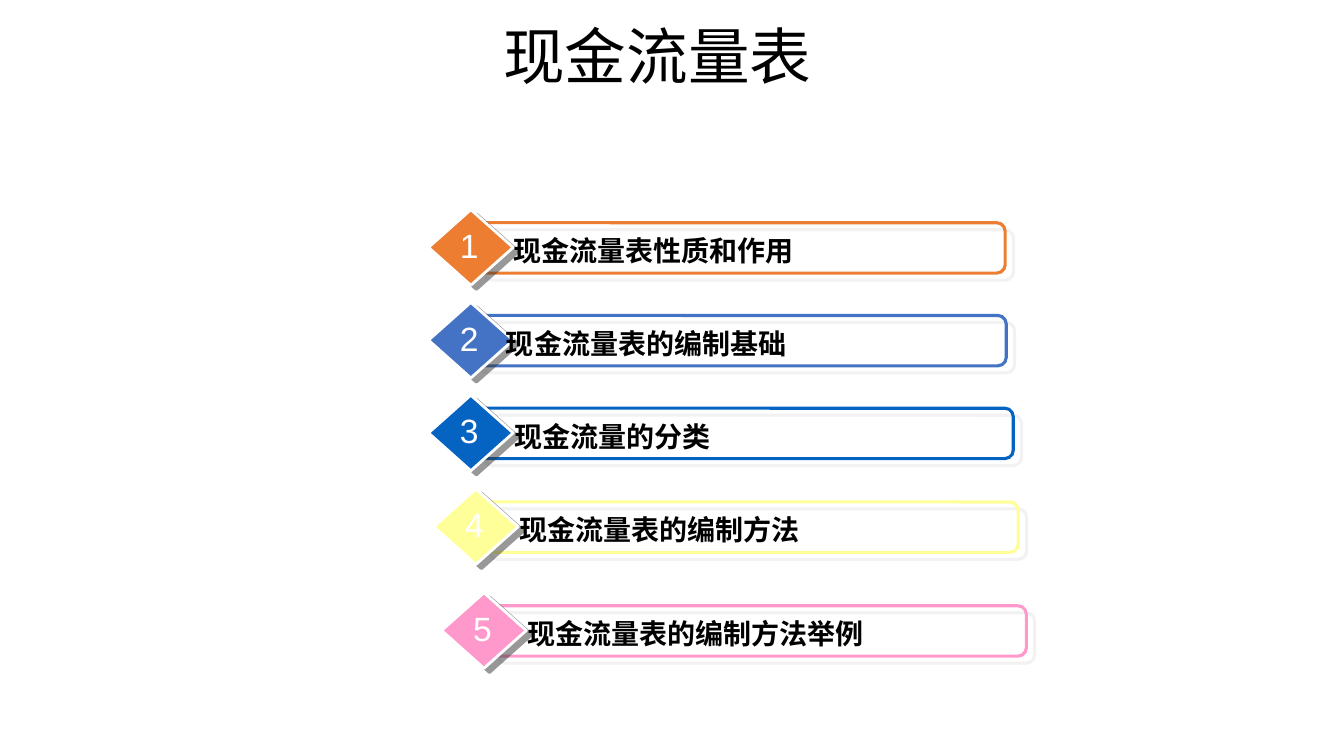
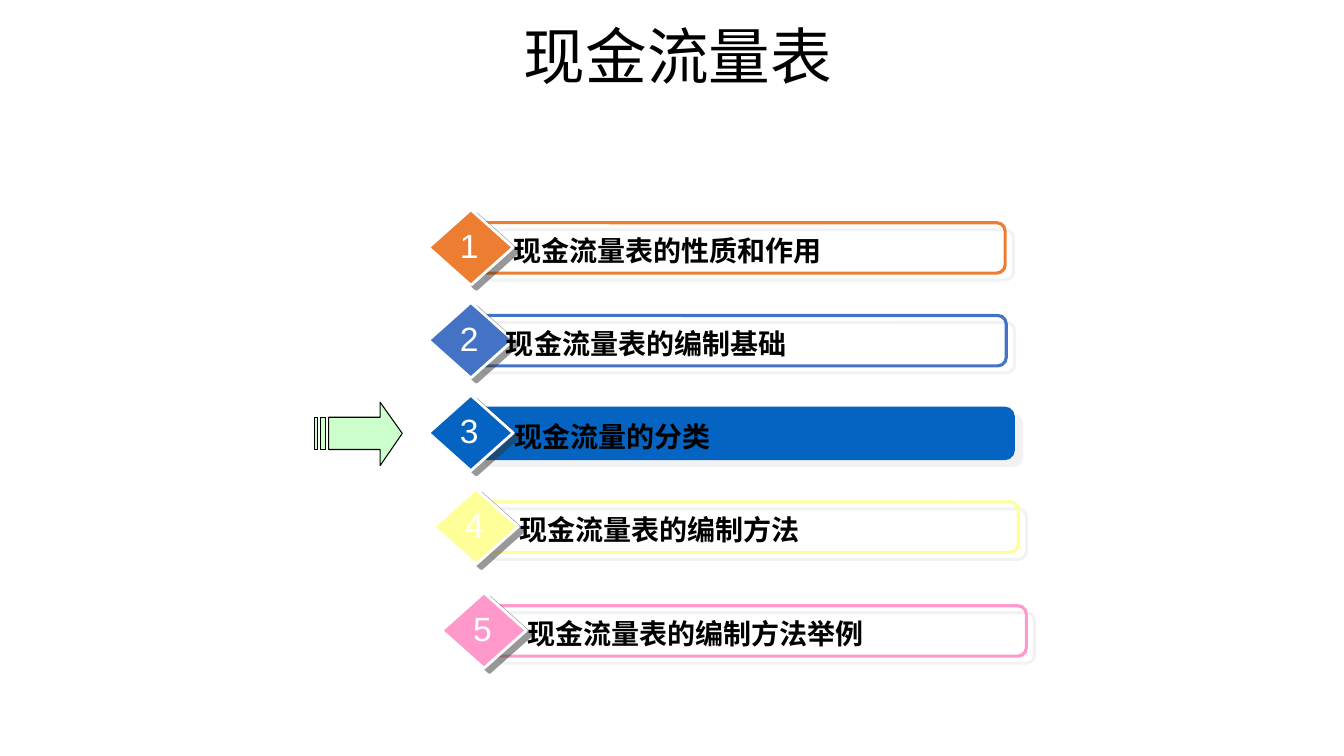
"""Build two agenda slides about the cash flow statement."""
import collections

import lxml.etree
import pptx
import pptx.dml.color
import pptx.enum.shapes
import pptx.enum.text
import pptx.oxml.ns
import pptx.util

EMU_PER_PX = 9144
LATIN_FONT = "Arial"
CHINESE_FONT = "Noto Sans CJK SC"
COLOURS = {
    "black": "000000",
    "white": "FFFFFF",
    "orange": "ED7D31",
    "blue": "4472C4",
    "deep_blue": "0563C1",
    "yellow": "FFFF99",
    "pink": "FF99CC",
    "mint": "CCFFCC",
    "bar_shadow": "E7E6E6",
    "diamond_shadow": "333333",
}
BAR_HEIGHT = 50
DIAMOND_SIZE = (84, 75)

Row = collections.namedtuple("Row", "colour left top bar_left bar_width label_left")
ROWS = [
    Row("orange", 425, 208, 471, 526, 499),
    Row("blue", 425, 300, 467, 531, 492),
    Row("deep_blue", 425, 392, 472, 533, 500),
    Row("yellow", 430, 485, 477, 533, 505),
    Row("pink", 438, 588, 485, 533, 513),
]
COMMON_LABELS = ["现金流量表的编制基础", "现金流量的分类", "现金流量表的编制方法", "现金流量表的编制方法举例"]


def px(length):
    """Turn a length in px into EMU."""
    return pptx.util.Emu(length * EMU_PER_PX)


def rgb(name):
    """Look up a named colour."""
    return pptx.dml.color.RGBColor.from_string(COLOURS[name])


def write_text(frame, text, size, colour="black", bold=False, centred=False,
               font=LATIN_FONT, wrap=True, line_spacing=None):
    """Put one formatted paragraph in a text frame."""
    frame.word_wrap = wrap
    frame.auto_size = pptx.enum.text.MSO_AUTO_SIZE.NONE
    frame.vertical_anchor = pptx.enum.text.MSO_ANCHOR.TOP
    paragraph = frame.paragraphs[0]
    paragraph.alignment = pptx.enum.text.PP_ALIGN.CENTER if centred else pptx.enum.text.PP_ALIGN.LEFT
    if line_spacing:
        paragraph.line_spacing = line_spacing
    run = paragraph.add_run()
    run.text = text
    run.font.name = font
    run.font.size = pptx.util.Pt(size)
    run.font.bold = bold
    run.font.color.rgb = rgb(colour)
    east_asian = lxml.etree.SubElement(run.font._element, pptx.oxml.ns.qn("a:ea"))
    east_asian.set("typeface", CHINESE_FONT)


def add_text(slide, text, left, top, width, height, **text_format):
    """Add a text box."""
    box = slide.shapes.add_textbox(px(left), px(top), px(width), px(height))
    write_text(box.text_frame, text, **text_format)


def paint(shape, fill, line, line_width):
    """Set fill and outline, and remove the inherited shadow."""
    if fill:
        shape.fill.solid()
        shape.fill.fore_color.rgb = rgb(fill)
    else:
        shape.fill.background()
    shape.line.color.rgb = rgb(line)
    shape.line.width = pptx.util.Pt(line_width)
    shape.shadow.inherit = False


def cast_shadow(shape, colour, distance, angle):
    """Add a half-transparent hard shadow to a painted shape."""
    qn = pptx.oxml.ns.qn
    effects = shape._element.spPr.find(qn("a:effectLst"))
    shadow = lxml.etree.SubElement(effects, qn("a:outerShdw"))
    shadow.set("dist", str(int(pptx.util.Pt(distance))))
    shadow.set("dir", str(angle * 60000))
    shadow.set("algn", "ctr")
    shadow.set("rotWithShape", "0")
    shade = lxml.etree.SubElement(shadow, qn("a:srgbClr"), val=COLOURS[colour])
    lxml.etree.SubElement(shade, qn("a:alpha"), val="50000")


def add_row(slide, row, number, label, filled):
    """Add one agenda row: bar, diamond, label and number."""
    shapes = pptx.enum.shapes.MSO_SHAPE
    bar = slide.shapes.add_shape(shapes.ROUNDED_RECTANGLE, px(row.bar_left), px(row.top + 13),
                                 px(row.bar_width), px(BAR_HEIGHT))
    paint(bar, row.colour if filled else None, row.colour, 2.25)
    cast_shadow(bar, "bar_shadow", 7.8, 40)
    diamond = slide.shapes.add_shape(shapes.DIAMOND, px(row.left), px(row.top),
                                     *map(px, DIAMOND_SIZE))
    paint(diamond, row.colour, "white", 2)
    cast_shadow(diamond, "diamond_shadow", 5, 37)
    add_text(slide, label, row.label_left, row.top + 19, 421, 43, size=20, bold=True)
    add_text(slide, str(number), row.left + 21, row.top + 10, 39, 50, size=24,
             colour="white", centred=True, wrap=False)


def add_striped_arrow(slide):
    """Add the arrow that points at the current row."""
    head = [(377, 399), (377, 414), (326, 414), (326, 446), (377, 446), (377, 462), (399, 430)]
    stripes = [[(left, 414), (left, 446), (right, 446), (right, 414)]
               for left, right in [(318, 323), (312, 315)]]
    builder = slide.shapes.build_freeform(*head[0], scale=EMU_PER_PX)
    builder.add_line_segments(head[1:], close=True)
    for stripe in stripes:
        builder.move_to(*stripe[0])
        builder.add_line_segments(stripe[1:], close=True)
    paint(builder.convert_to_shape(), "mint", "black", 0.75)


def add_agenda_slide(presentation, first_label, title_indent=0, current=None):
    """Add a slide with the title and the five agenda rows."""
    slide = presentation.slides.add_slide(presentation.slide_layouts[5])
    title = slide.shapes.title
    title.left, title.top, title.width, title.height = map(px, (202, 21, 900, 125))
    title.text_frame.margin_left = px(10 + title_indent)
    write_text(title.text_frame, "现金流量表", size=44, centred=True, font=CHINESE_FONT,
               line_spacing=0.9)
    labels = [first_label, *COMMON_LABELS]
    for number, (row, label) in enumerate(zip(ROWS, labels), start=1):
        add_row(slide, row, number, label, filled=number == current)
    return slide


def main():
    """Build and save the presentation."""
    presentation = pptx.Presentation()
    presentation.slide_width, presentation.slide_height = px(1333), px(750)
    add_agenda_slide(presentation, "现金流量表性质和作用")
    slide = add_agenda_slide(presentation, "现金流量表的性质和作用", title_indent=41, current=3)
    add_striped_arrow(slide)
    presentation.save("out.pptx")


if __name__ == "__main__":
    main()
